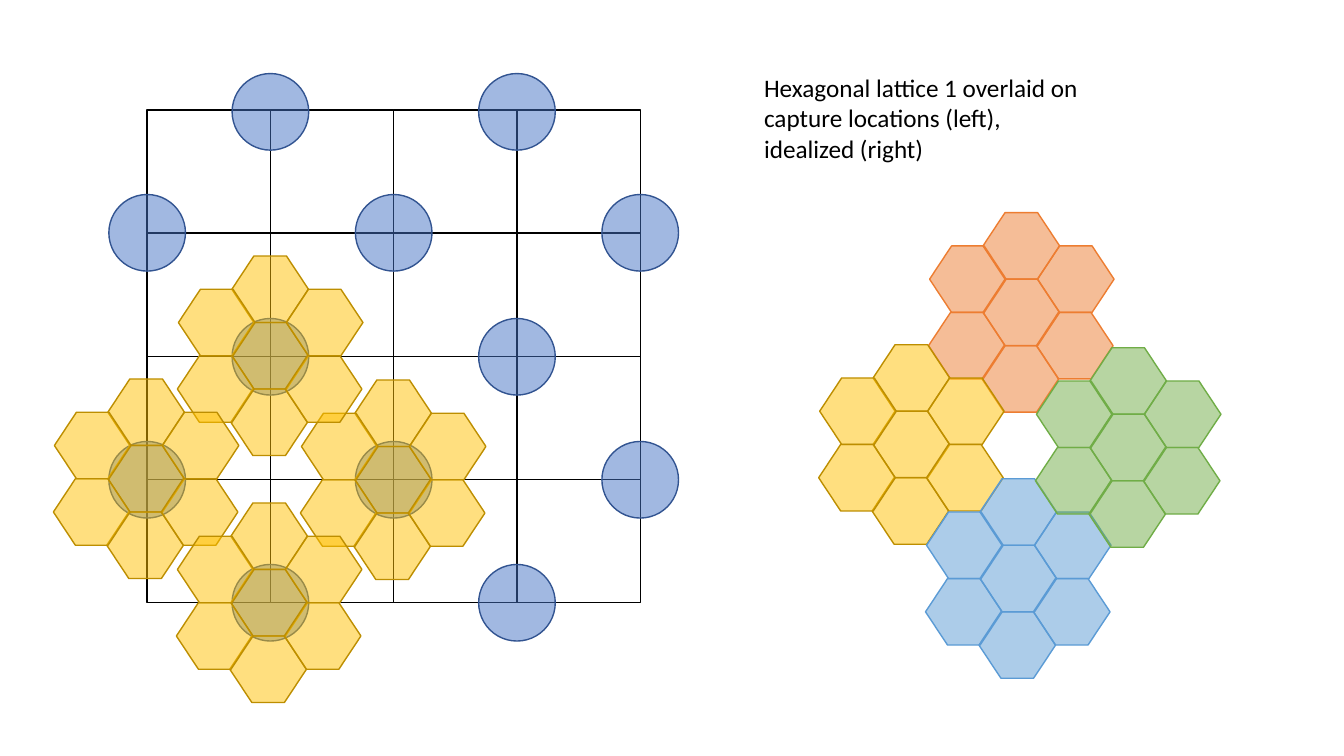
"""Build a slide showing a hexagonal lattice over capture locations and its idealized form."""
import pptx
import pptx.dml.color
import pptx.enum.shapes
import pptx.oxml
import pptx.oxml.ns
import pptx.util
from pptx.util import Inches

CAPTION = "Hexagonal lattice 1 overlaid on capture locations (left), idealized (right)"
CAPTION_BOX = (7.48, 0.67, 3.43, 1.01)
THEME = {
    "font": {"name": "Calibri", "size": pptx.util.Pt(18)},
    "text": "000000",
    "line_width": pptx.util.Pt(1),
    "cell": ("FFFFFF", "000000", 100),
    "location": ("4472C4", "325491", 50),
    "gold": ("FFC000", "BD8E00", 50),
    "orange": ("ED7D31", "ED7D31", 50),
    "blue": ("5B9BD5", "5B9BD5", 50),
    "green": ("70AD47", "70AD47", 50),
}
GRID_LEFT, GRID_TOP, GRID_STEP, GRID_COUNT = 1.46, 1.09, 1.2225, 4
LOCATION_ROWS = (1.11, 2.31, 3.54, 4.76, 5.98)
DIAMETER = 0.76
HEXAGON_HEIGHT = 0.66
HEXAGON_ADJUSTMENT = 0.331
PETALS = [(0, 0), (0, -0.66), (-0.01, 0.66), (0.54, -0.33),
          (0.53, 0.33), (-0.53, -0.33), (-0.54, 0.33)]
CLUSTERS = [
    ("gold", 3.52, 4.43),
    ("gold", 2.30, 3.20),
    ("gold", 1.07, 4.42),
    ("gold", 2.29, 5.65),
    ("orange", 9.75, 2.77),
    ("gold", 8.66, 4.08),
    ("blue", 9.72, 5.41),
    ("green", 10.81, 4.11),
]
SHAPES = pptx.enum.shapes.MSO_SHAPE


def set_values(target, values):
    """Set every named attribute on the target."""
    for name, value in values.items():
        setattr(target, name, value)


def add_figure(shapes, kind, box, style):
    """Add a preset shape in a theme style."""
    fill, line, opacity = THEME[style]
    shape = shapes.add_shape(kind, *map(Inches, box))
    shape.shadow.inherit = False
    shape.fill.solid()
    shape.fill.fore_color.rgb = pptx.dml.color.RGBColor.from_string(fill)
    shape.line.color.rgb = pptx.dml.color.RGBColor.from_string(line)
    shape.line.width = THEME["line_width"]
    if opacity < 100:
        color = shape.fill._xPr.find(".//" + pptx.oxml.ns.qn("a:srgbClr"))
        namespace = pptx.oxml.ns.nsdecls("a")
        color.append(pptx.oxml.parse_xml(f'<a:alpha {namespace} val="{opacity * 1000}"/>'))
    return shape


def add_grid(shapes):
    """Add the square cells of the capture grid."""
    for row in range(GRID_COUNT):
        for column in range(GRID_COUNT):
            box = (GRID_LEFT + column * GRID_STEP, GRID_TOP + row * GRID_STEP,
                   GRID_STEP, GRID_STEP)
            add_figure(shapes, SHAPES.RECTANGLE, box, "cell")


def add_locations(shapes):
    """Add a circle on every other grid node."""
    for row, center in enumerate(LOCATION_ROWS):
        for column in range((row + 1) % 2, GRID_COUNT + 1, 2):
            left = GRID_LEFT + column * GRID_STEP - DIAMETER / 2
            box = (left, center - DIAMETER / 2, DIAMETER, DIAMETER)
            add_figure(shapes, SHAPES.OVAL, box, "location")


def add_cluster(shapes, style, left, top):
    """Add a group of seven hexagons around a central one."""
    group = shapes.add_group_shape()
    for across, down in PETALS:
        box = (left + across, top + down, DIAMETER, HEXAGON_HEIGHT)
        hexagon = add_figure(group.shapes, SHAPES.HEXAGON, box, style)
        hexagon.adjustments[0] = HEXAGON_ADJUSTMENT


def add_caption(shapes):
    """Add the wrapped caption."""
    frame = shapes.add_textbox(*map(Inches, CAPTION_BOX)).text_frame
    frame.word_wrap = True
    run = frame.paragraphs[0].add_run()
    run.text = CAPTION
    set_values(run.font, THEME["font"])
    run.font.color.rgb = pptx.dml.color.RGBColor.from_string(THEME["text"])


presentation = pptx.Presentation()
set_values(presentation, {"slide_width": Inches(13.33), "slide_height": Inches(7.5)})
slide = presentation.slides.add_slide(presentation.slide_layouts[6])
add_grid(slide.shapes)
add_locations(slide.shapes)
for cluster in CLUSTERS:
    add_cluster(slide.shapes, *cluster)
add_caption(slide.shapes)
presentation.save("out.pptx")
